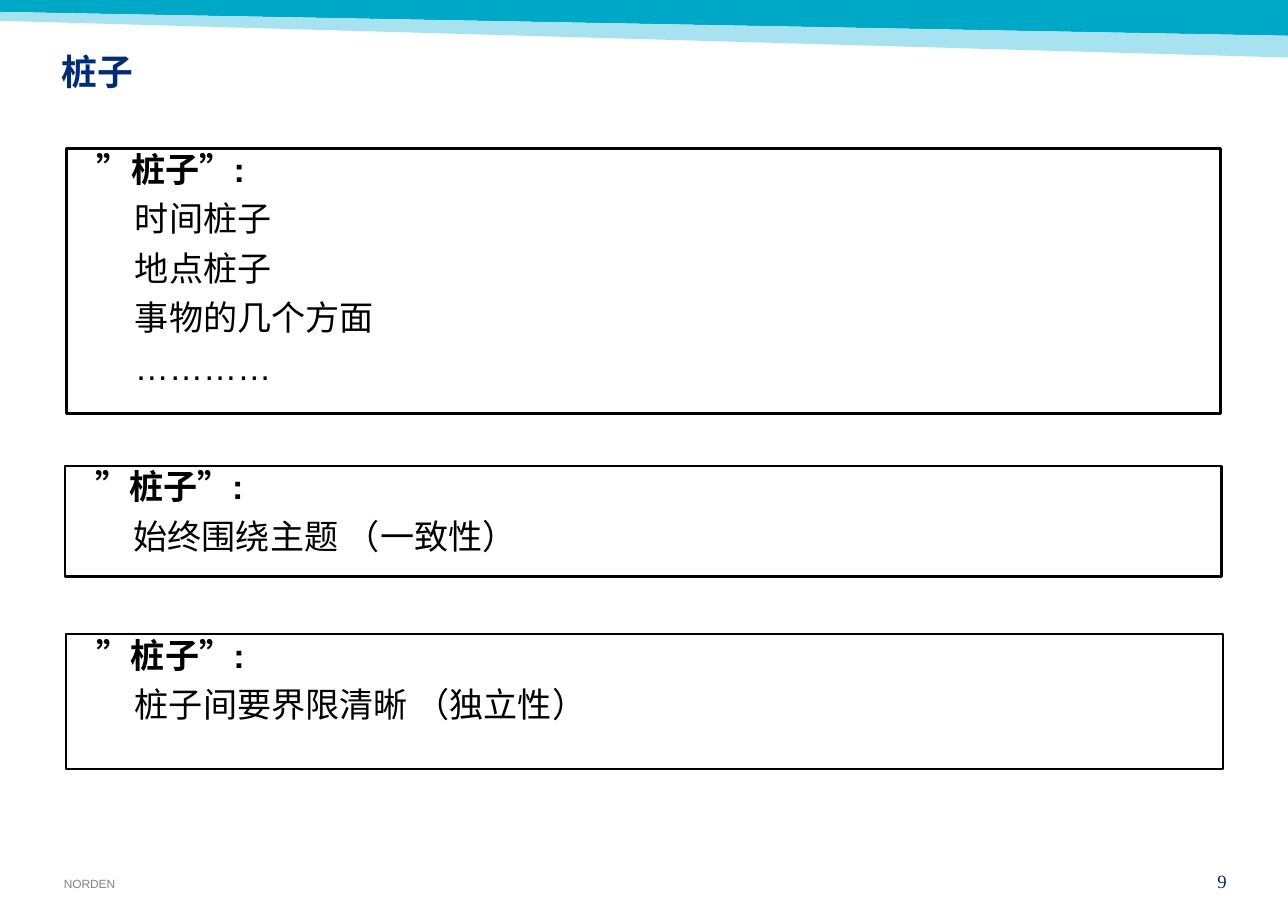
from pptx import Presentation
from pptx.dml.color import RGBColor
from pptx.enum.lang import MSO_LANGUAGE_ID as Lang
from pptx.enum.shapes import MSO_SHAPE as Shape
from pptx.enum.text import MSO_ANCHOR as Anchor, PP_ALIGN as Align
from pptx.util import Pt

TEAL = RGBColor(0x00, 0xA8, 0xC8)
PALE = RGBColor(0xA6, 0xE2, 0xEF)
NAVY = RGBColor(0x00, 0x2C, 0x77)
GREY = RGBColor(0x7C, 0x84, 0x8A)
BLACK = RGBColor(0, 0, 0)

WIDE, HIGH = 756, 540
HEAD = "”桩子”:"
LEFT, HANG = 40.3, 22.3  # text margin and how far the heading hangs out

PANELS = [
    ((38.9, 87.1, 677.4, 155.5),
     ["时间桩子", "地点桩子", "事物的几个方面", "…………"]),
    ((38.1, 273.5, 679, 64.8), ["始终围绕主题 （一致性）"]),
    ((38.9, 372.2, 679, 79.2), ["桩子间要界限清晰 （独立性）"]),
]


def write(para, text, size=20, font="Arial", color=BLACK, bold=False,
          align=Align.LEFT, before=0, line=None, left=0, hang=0):
    props = para._p.get_or_add_pPr()
    props.set("marL", str(Pt(left)))
    props.set("indent", str(-Pt(hang)))
    para.alignment = align
    para.space_before = Pt(before)
    if line:
        para.line_spacing = line
    run = para.add_run()
    run.text = text
    face = run.font
    face.name, face.size, face.bold = font, Pt(size), bold
    face.color.rgb = color
    face.language_id = Lang.SIMPLIFIED_CHINESE


def set_frame(shape, anchor=Anchor.TOP, insets=(0, 0, 0, 0)):
    frame = shape.text_frame
    frame.word_wrap = True
    frame.vertical_anchor = anchor
    (frame.margin_left, frame.margin_top,
     frame.margin_right, frame.margin_bottom) = map(Pt, insets)
    return frame


def add_label(slide, box, text, anchor=Anchor.TOP, insets=(0, 0, 0, 0), **style):
    shape = slide.shapes.add_textbox(*map(Pt, box))
    write(set_frame(shape, anchor, insets).paragraphs[0], text, **style)


def add_band(slide, points, color):
    start, *rest = [(Pt(x), Pt(y)) for x, y in points]
    path = slide.shapes.build_freeform(*start)
    path.add_line_segments(rest, close=True)
    band = path.convert_to_shape()
    band.shadow.inherit = False
    band.fill.solid()
    band.fill.fore_color.rgb = color
    band.line.fill.background()


def add_header(slide, wide):
    add_band(slide, [(0, 0), (wide, 0), (wide, 21), (0, 7)], TEAL)
    add_band(slide, [(0, 7), (wide, 21), (wide, 33.8), (0, 12.2)], PALE)


def add_panel(slide, box, items):
    panel = slide.shapes.add_shape(Shape.RECTANGLE, *map(Pt, box))
    panel.shadow.inherit = False
    panel.fill.background()
    panel.line.color.rgb = BLACK
    panel.line.width = Pt(1.5)
    frame = set_frame(panel)
    write(frame.paragraphs[0], HEAD, bold=True, left=LEFT, hang=HANG)
    for item in items:
        write(frame.add_paragraph(), item, before=5, left=LEFT)


def add_footer(slide, box):
    x, y, wide, high = box
    add_label(slide, (x, y + 4.3, 227.5, high - 5), "NORDEN",
              anchor=Anchor.BOTTOM, size=7, color=GREY)
    add_label(slide, (x + wide - 35.3, y, 35.3, high), "9", size=11,
              font="Times New Roman", color=NAVY, align=Align.RIGHT)


def main():
    deck = Presentation()
    deck.slide_width, deck.slide_height = Pt(WIDE), Pt(HIGH)
    slide = deck.slides.add_slide(deck.slide_layouts[6])

    # Header bands and title
    add_header(slide, WIDE)
    add_label(slide, (36, 30.2, 684, 54.7), "桩子", insets=(0, 3.6, 7.2, 3.6),
              size=21, color=NAVY, bold=True, line=0.83)

    # Framed panels
    for box, items in PANELS:
        add_panel(slide, box, items)

    # Footer name and page number
    add_footer(slide, (37.5, 510.5, 682.5, 13))
    deck.save("out.pptx")


if __name__ == "__main__":
    main()
